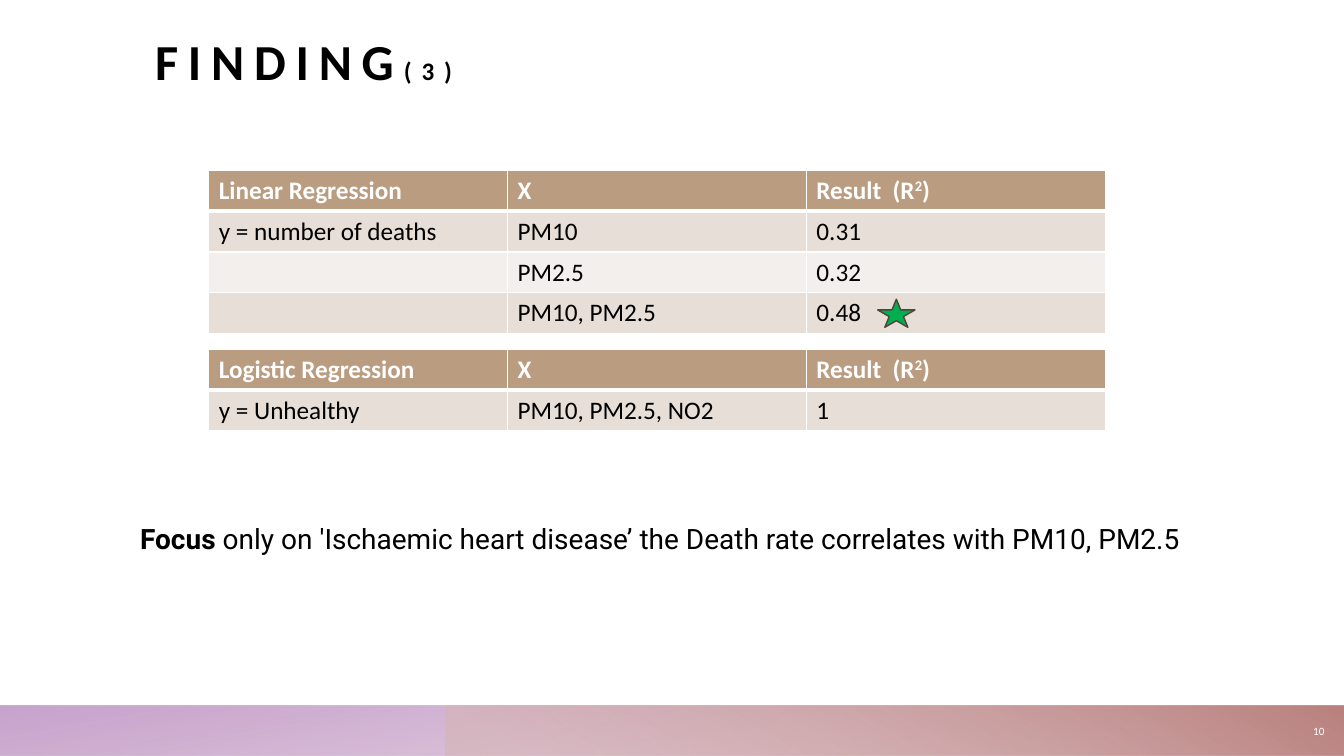
import lxml.etree
import pptx
import pptx.dml.color
import pptx.enum.shapes
import pptx.enum.text
import pptx.oxml
import pptx.oxml.ns
import pptx.util

Cm = pptx.util.Cm
Pt = pptx.util.Pt
RGBColor = pptx.dml.color.RGBColor
SHAPE = pptx.enum.shapes.MSO_SHAPE
ANCHOR = pptx.enum.text.MSO_ANCHOR
ALIGN = pptx.enum.text.PP_ALIGN
qn = pptx.oxml.ns.qn

BLACK = RGBColor(0x00, 0x00, 0x00)
WHITE = RGBColor(0xFF, 0xFF, 0xFF)
TAN = RGBColor(0xBA, 0x9C, 0x80)
BAND_DARK = RGBColor(0xE7, 0xDE, 0xD8)
BAND_LIGHT = RGBColor(0xF3, 0xEF, 0xED)
GREEN = RGBColor(0x00, 0xB0, 0x50)
BROWN = RGBColor(0x52, 0x44, 0x38)
MAUVE = RGBColor(0xBA, 0x7F, 0xAD)
LILAC = RGBColor(0xBC, 0x94, 0xC5)
BLUSH = RGBColor(0xD6, 0xB4, 0xB2)
ROSE = RGBColor(0xBA, 0x82, 0x7F)

SLIDE_WIDTH, SLIDE_HEIGHT = 33.87, 19.05
BAR_HEIGHT = 1.27
TABLE_LEFT, COLUMN_WIDTH, ROW_HEIGHT = 5.26, 7.53, 1.03


def add_run(p, text, size, color, bold=False, font="Calibri"):
    """Append a formatted run to a paragraph."""
    r = p.add_run()
    r.text = text
    r.font.size = Pt(size)
    r.font.name = font
    r.font.bold = bold
    r.font.color.rgb = color
    return r


def add_text_box(s, left, top, width, height, anchor, margin=None):
    """Add a wrapping text box and return its first paragraph."""
    tf = s.shapes.add_textbox(Cm(left), Cm(top), Cm(width), Cm(height)).text_frame
    tf.word_wrap = True
    tf.vertical_anchor = anchor
    if margin is not None:
        tf.margin_left = tf.margin_right = Cm(margin)
        tf.margin_top = tf.margin_bottom = Cm(margin)
    return tf.paragraphs[0]


def add_gradient_bar(s, left, stops, angle, rotation=0):
    """Add a mirrored footer bar with a translucent gradient."""
    sp = s.shapes.add_shape(
        SHAPE.RECTANGLE, Cm(left), Cm(SLIDE_HEIGHT - BAR_HEIGHT),
        Cm(SLIDE_WIDTH - left), Cm(BAR_HEIGHT))
    sp.shadow.inherit = False
    sp.line.fill.background()
    sp.rotation = rotation
    properties = sp.element.spPr
    properties.find(qn("a:xfrm")).set("flipH", "1")
    stop_xml = "".join(
        f'<a:gs pos="{position * 1000}"><a:srgbClr val="{color}">'
        f'<a:alpha val="{opacity * 1000}"/></a:srgbClr></a:gs>'
        for position, color, opacity in stops)
    gradient = pptx.oxml.parse_xml(
        f'<a:gradFill {pptx.oxml.ns.nsdecls("a")}><a:gsLst>{stop_xml}</a:gsLst>'
        f'<a:lin ang="{angle * 60000}" scaled="0"/></a:gradFill>')
    properties.find(qn("a:prstGeom")).addnext(gradient)


def set_borders(cell, top, bottom):
    """Give a cell white borders, with top and bottom widths in points."""
    properties = cell._tc.get_or_add_tcPr()
    for side, width in (("L", 1), ("R", 1), ("T", top), ("B", bottom)):
        line = lxml.etree.SubElement(properties, qn(f"a:ln{side}"), w=str(Pt(width)))
        fill = lxml.etree.SubElement(line, qn("a:solidFill"))
        lxml.etree.SubElement(fill, qn("a:srgbClr"), val=str(WHITE))


def add_result_table(s, top, method, rows):
    """Add a regression table with a header row and banded results."""
    header = (method, "X", "Result  (R")
    table = s.shapes.add_table(
        len(rows) + 1, len(header), Cm(TABLE_LEFT), Cm(top),
        Cm(COLUMN_WIDTH * len(header)), Cm(ROW_HEIGHT * (len(rows) + 1))).table
    for column in table.columns:
        column.width = Cm(COLUMN_WIDTH)
    for i, values in enumerate([header, *rows]):
        table.rows[i].height = Cm(ROW_HEIGHT)
        is_header = i == 0
        background = TAN if is_header else BAND_DARK if i % 2 else BAND_LIGHT
        for cell, value in zip(table.rows[i].cells, values):
            set_borders(cell, 3 if i == 1 else 1, 3 if is_header else 1)
            cell.fill.solid()
            cell.fill.fore_color.rgb = background
            p = cell.text_frame.paragraphs[0]
            p.font.size = Pt(18)
            if value:
                add_run(p, value, 18, WHITE if is_header else BLACK, is_header)
    p = table.cell(0, 2).text_frame.paragraphs[0]
    exponent = add_run(p, "2", 18, WHITE, True)
    exponent.font._element.set("baseline", "30000")
    add_run(p, ")", 18, WHITE, True)


def add_title(s, title, part):
    """Add the widely spaced title with its smaller part number."""
    p = add_text_box(s, 3.91, 0.38, 28.45, 1.91, ANCHOR.BOTTOM, 0)
    for text, size in ((title, 36), (part, 18)):
        r = add_run(p, text, size, BLACK, True)
        r.font._element.set("spc", "700")


def add_focus(s, lead, text):
    """Add the focus statement with a bold lead word."""
    p = add_text_box(s, 3.53, 12.98, 28.45, 2.11, ANCHOR.TOP, 0)
    p.line_spacing = 1.2
    add_run(p, lead, 20, BLACK, True, "Roboto")
    add_run(p, text, 20, BLACK, False, "Roboto")


def add_slide_number(s, number):
    """Add the slide number on the footer bar."""
    p = add_text_box(s, 32.41, 17.81, 1.22, 1.24, ANCHOR.MIDDLE)
    p.alignment = ALIGN.RIGHT
    add_run(p, number, 8, WHITE)


def add_star(s):
    """Add the star that marks the best linear result."""
    sp = s.shapes.add_shape(SHAPE.STAR_5_POINT, Cm(22.12), Cm(7.54), Cm(0.94), Cm(0.71))
    sp.shadow.inherit = False
    sp.fill.solid()
    sp.fill.fore_color.rgb = GREEN
    sp.line.color.rgb = BROWN
    sp.line.width = Pt(1)


def main():
    """Build and save the slide."""
    prs = pptx.Presentation()
    prs.slide_width = Cm(SLIDE_WIDTH)
    prs.slide_height = Cm(SLIDE_HEIGHT)
    s = prs.slides.add_slide(prs.slide_layouts[6])
    add_gradient_bar(s, 0, [(14, MAUVE, 28), (100, LILAC, 85)], 100, 180)
    add_gradient_bar(s, 11.23, [(9, BLUSH, 55), (99, ROSE, 100)], 240)
    add_focus(s, "Focus", " only on 'Ischaemic heart disease’ the Death rate "
                          "correlates with PM10, PM2.5")
    add_slide_number(s, "10")
    add_title(s, "FINDING", "(3)")
    add_result_table(s, 4.29, "Linear Regression", [
        ("y = number of deaths", "PM10", "0.31"),
        ("", "PM2.5", "0.32"),
        ("", "PM10, PM2.5", "0.48")])
    add_star(s)
    add_result_table(s, 8.8, "Logistic Regression", [
        ("y = Unhealthy", "PM10, PM2.5, NO2", "1")])
    prs.save("out.pptx")


if __name__ == "__main__":
    main()
